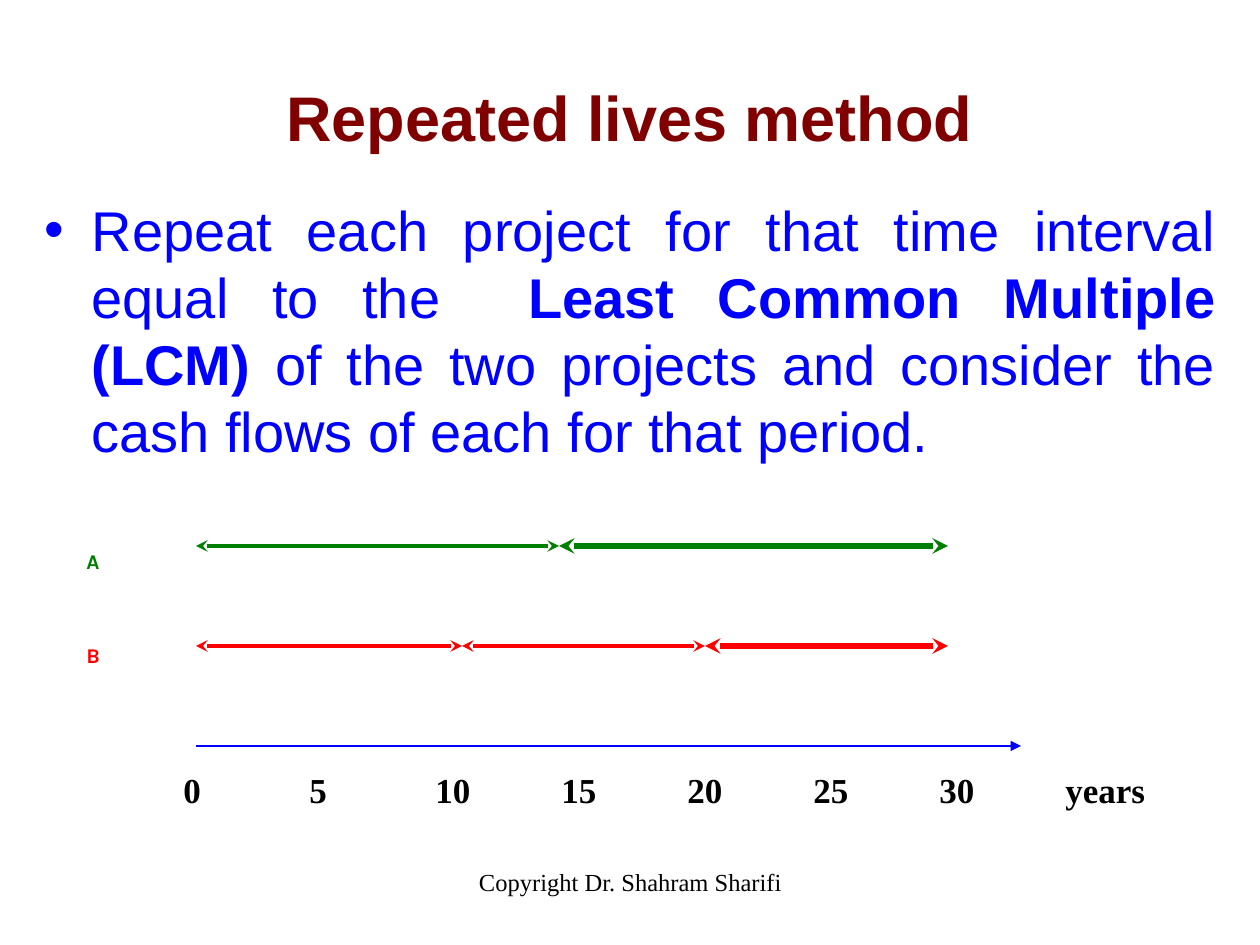
from itertools import pairwise

from lxml import etree
from pptx import Presentation
from pptx import util as u
from pptx.dml.color import RGBColor
from pptx.enum import shapes, text
from pptx.oxml import ns

SCALE = 914400 / 126
COLORS = {
    "title": "800000",
    "body": "0000FF",
    "project_a": "008000",
    "project_b": "FF0000",
    "axis": "0000FF",
    "ink": "000000",
    "paper": "FFFFFF",
}
AXIS_START = 196
YEAR_STEP = 126


def px(length):
    return u.Emu(round(length * SCALE))


def rgb(name):
    return RGBColor.from_string(COLORS[name])


def set_format(target, values):
    for name, value in values.items():
        setattr(target, name, value)


def style_font(font, face, size, color, bold=False):
    set_format(font, {"name": face, "size": u.Pt(size), "bold": bold})
    font.color.rgb = rgb(color)


def place(holder, left, top, width, height):
    box = {"left": left, "top": top, "width": width, "height": height}
    set_format(holder, {name: px(value) for name, value in box.items()})
    set_format(holder.text_frame, {
        "vertical_anchor": text.MSO_ANCHOR.TOP,
        "auto_size": text.MSO_AUTO_SIZE.NONE,
        "word_wrap": True,
    })


def add_title(slide, wording):
    title = slide.shapes.title
    place(title, 94, 72, 1071, 158)
    heading = title.text_frame.paragraphs[0]
    heading.alignment = text.PP_ALIGN.CENTER
    run = heading.add_run()
    run.text = wording
    style_font(run.font, "Arial", 36, "title", True)


def add_bullet(slide, parts):
    body = slide.placeholders[1]
    place(body, 32, 189, 1197, 714)
    bullet = body.text_frame.paragraphs[0]
    set_format(bullet, {
        "alignment": text.PP_ALIGN.JUSTIFY,
        "line_spacing": 1.0,
        "space_before": u.Pt(0),
    })
    properties = bullet._p.get_or_add_pPr()
    properties.set("marL", str(px(47)))
    properties.set("indent", str(-px(47)))
    bullet_color = etree.SubElement(properties, ns.qn("a:buClr"))
    etree.SubElement(bullet_color, ns.qn("a:srgbClr"), val=COLORS["body"])
    etree.SubElement(properties, ns.qn("a:buFont"), typeface="Arial")
    etree.SubElement(properties, ns.qn("a:buChar"), char="•")
    for wording, bold in parts:
        run = bullet.add_run()
        run.text = wording
        style_font(run.font, "Arial", 32, "body", bold)


def add_label(slide, wording, box, face, size, color):
    label = slide.shapes.add_shape(shapes.MSO_SHAPE.RECTANGLE, *map(px, box))
    label.shadow.inherit = False
    label.fill.solid()
    label.fill.fore_color.rgb = rgb("paper")
    label.line.color.rgb = rgb("paper")
    label.line.width = u.Pt(0.75)
    label.text_frame.vertical_anchor = text.MSO_ANCHOR.TOP
    line = label.text_frame.paragraphs[0]
    line.alignment = text.PP_ALIGN.LEFT
    run = line.add_run()
    run.text = wording
    style_font(run.font, face, size, color, True)
    return line


def add_years(slide, years):
    line = add_label(slide, "\t".join(years), (171, 762, 995, 84),
                     "Times New Roman", 20, "ink")
    stops = etree.SubElement(line._p.get_or_add_pPr(), ns.qn("a:tabLst"))
    for step in range(1, len(years)):
        etree.SubElement(stops, ns.qn("a:tab"), pos=str(px(step * YEAR_STEP)), algn="l")


def add_arrow(slide, start, end, y, color, weight, heads):
    arrow = slide.shapes.add_connector(
        shapes.MSO_CONNECTOR.STRAIGHT, px(start), px(y), px(end), px(y))
    arrow.line.color.rgb = rgb(color)
    arrow.line.width = u.Pt(weight)
    outline = arrow.line._get_or_add_ln()
    for end_name, kind in heads.items():
        etree.SubElement(outline, ns.qn(f"a:{end_name}"), type=kind)
    etree.SubElement(arrow._element.spPr, ns.qn("a:effectLst"))


def add_lives(slide, stops, y, color):
    stealth = {"headEnd": "stealth", "tailEnd": "stealth"}
    for start, end in pairwise(stops):
        weight = 3 if end == stops[-1] else 2.25
        add_arrow(slide, start, end, y, color, weight, stealth)


def add_copyright(slide, wording):
    notice = slide.shapes.add_textbox(0, 0, 0, 0)
    place(notice, 431, 861, 399, 63)
    line = notice.text_frame.paragraphs[0]
    line.alignment = text.PP_ALIGN.CENTER
    run = line.add_run()
    run.text = wording
    style_font(run.font, "Times New Roman", 14, "ink")


def main():
    deck = Presentation()
    deck.slide_width, deck.slide_height = px(1260), px(945)
    slide = deck.slides.add_slide(deck.slide_layouts[1])
    add_title(slide, "Repeated lives method")
    add_bullet(slide, [
        ("Repeat each project for that time interval equal to the  ", False),
        ("Least Common Multiple (LCM)", True),
        (" of the two projects and consider the cash flows of each for that period.", False),
    ])
    add_years(slide, [*map(str, range(0, 31, 5)), "years"])
    add_lives(slide, [AXIS_START, 462, 705, 948], 646, "project_b")
    add_lives(slide, [AXIS_START, 559, 948], 546, "project_a")
    add_label(slide, "A", (74, 542, 97, 73), "Karla", 12, "project_a")
    add_label(slide, "B", (74, 636, 97, 42), "Karla", 12, "project_b")
    add_arrow(slide, AXIS_START, 1021, 746, "axis", 0.75, {"tailEnd": "triangle"})
    add_copyright(slide, "Copyright Dr. Shahram Sharifi")
    deck.save("out.pptx")


if __name__ == "__main__":
    main()
